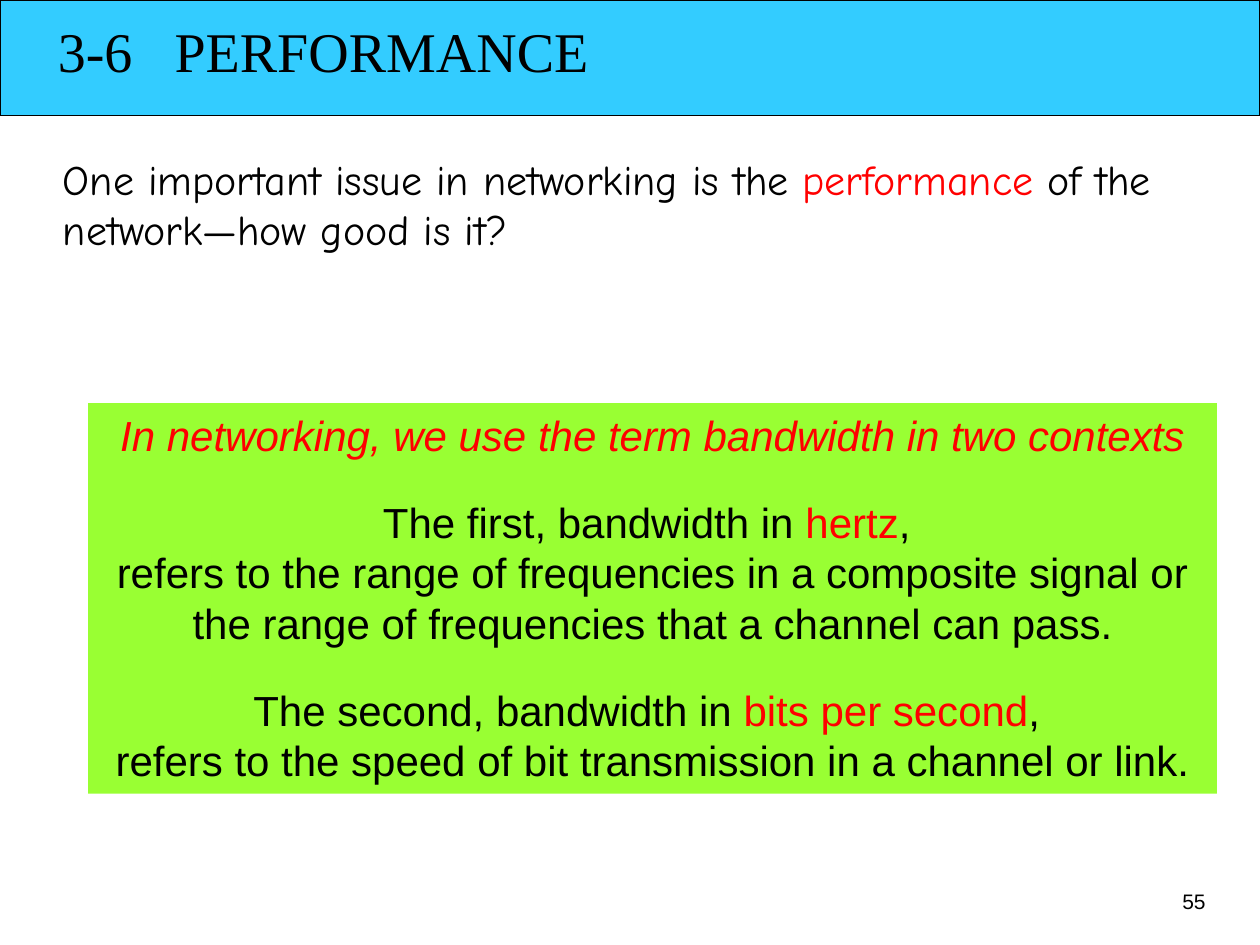
from dataclasses import dataclass

from lxml import etree
from pptx import Presentation
from pptx.dml.color import RGBColor as Color
from pptx.enum.shapes import MSO_SHAPE as Shape
from pptx.enum.text import MSO_ANCHOR as Anchor, PP_ALIGN as Align
from pptx.oxml.ns import qn
from pptx.util import Pt


@dataclass(frozen=True)
class Theme:
    ink: str = "000000"
    accent: str = "FF0000"
    banner: str = "33CCFF"
    panel: str = "99FF33"
    title_font: str = "Times New Roman"
    intro_font: str = "Comic Neue"
    body_font: str = "Arial"
    title_size: float = 32
    body_size: float = 24
    number_size: float = 12


class SlideBuilder:
    def __init__(self, slide, theme):
        self.slide = slide
        self.theme = theme

    def rectangle(self, left, top, width, height, fill, line=None):
        shape = self.slide.shapes.add_shape(
            Shape.RECTANGLE, Pt(left), Pt(top), Pt(width), Pt(height))
        shape.shadow.inherit = False
        shape.fill.solid()
        shape.fill.fore_color.rgb = Color.from_string(fill)
        if line:
            shape.line.color.rgb = Color.from_string(line)
            shape.line.width = Pt(0.75)
        else:
            shape.line.fill.background()
        return shape

    def text_box(self, left, top, width, height):
        return self.slide.shapes.add_textbox(Pt(left), Pt(top), Pt(width), Pt(height))

    def add_text(self, shape, paragraphs, font, size, align=Align.LEFT, anchor=Anchor.TOP):
        """Fill a shape; a paragraph is (space before, [(text, colour, italic), ...])."""
        frame = shape.text_frame
        frame.word_wrap = True
        frame.vertical_anchor = anchor
        for index, (space, pieces) in enumerate(paragraphs):
            paragraph = frame.add_paragraph() if index else frame.paragraphs[0]
            paragraph.alignment = align
            paragraph.space_before = Pt(space)
            for text, color, italic in pieces:
                run = paragraph.add_run()
                run.text = text
                run.font.name = font
                run.font.size = Pt(size)
                run.font.italic = italic
                run.font.color.rgb = Color.from_string(color)

    def tab_stop(self, shape, position):
        properties = shape.text_frame.paragraphs[0]._p.get_or_add_pPr()
        tabs = etree.SubElement(properties, qn("a:tabLst"))
        etree.SubElement(tabs, qn("a:tab"), pos=str(int(Pt(position))), algn="l")


def main():
    theme = Theme()
    presentation = Presentation()
    presentation.slide_width, presentation.slide_height = Pt(720), Pt(540)
    slide = presentation.slides.add_slide(presentation.slide_layouts[6])
    builder = SlideBuilder(slide, theme)

    def plain(text):
        return text, theme.ink, False

    def key(text, italic=False):
        return text, theme.accent, italic

    # Title banner
    builder.rectangle(0, 0, 720, 66, theme.banner, theme.ink)
    title = builder.text_box(26, 6, 318, 46)
    builder.add_text(title, [(0, [plain("3-6\tPERFORMANCE")])],
                     theme.title_font, theme.title_size)
    builder.tab_stop(title, 66.7)

    # Introduction
    intro = builder.text_box(28.8, 84, 655, 65)
    builder.add_text(intro, [(0, [
        plain("One important issue in networking is the "),
        key("performance"),
        plain(" of the network—how good is it?"),
    ])], theme.intro_font, theme.body_size, anchor=Anchor.MIDDLE)

    # Bandwidth panel
    gap = 21
    panel = builder.rectangle(50.4, 230.4, 645, 223.2, theme.panel)
    builder.add_text(panel, [
        (0, [key("In networking, we use the term bandwidth in two contexts", True)]),
        (gap, [plain("The first, bandwidth in "), key("hertz"), plain(", ")]),
        (0, [plain("refers to the range of frequencies in a composite signal or "
                   "the range of frequencies that a channel can pass.")]),
        (gap, [plain("The second, bandwidth in "), key("bits per second"), plain(", ")]),
        (0, [plain("refers to the speed of bit transmission in a channel or link.")]),
    ], theme.body_font, theme.body_size, Align.CENTER)

    # Slide number
    number = builder.text_box(643, 504, 53, 36)
    builder.add_text(number, [(0, [plain("55")])],
                     theme.body_font, theme.number_size, Align.RIGHT)

    presentation.save("out.pptx")


if __name__ == "__main__":
    main()
